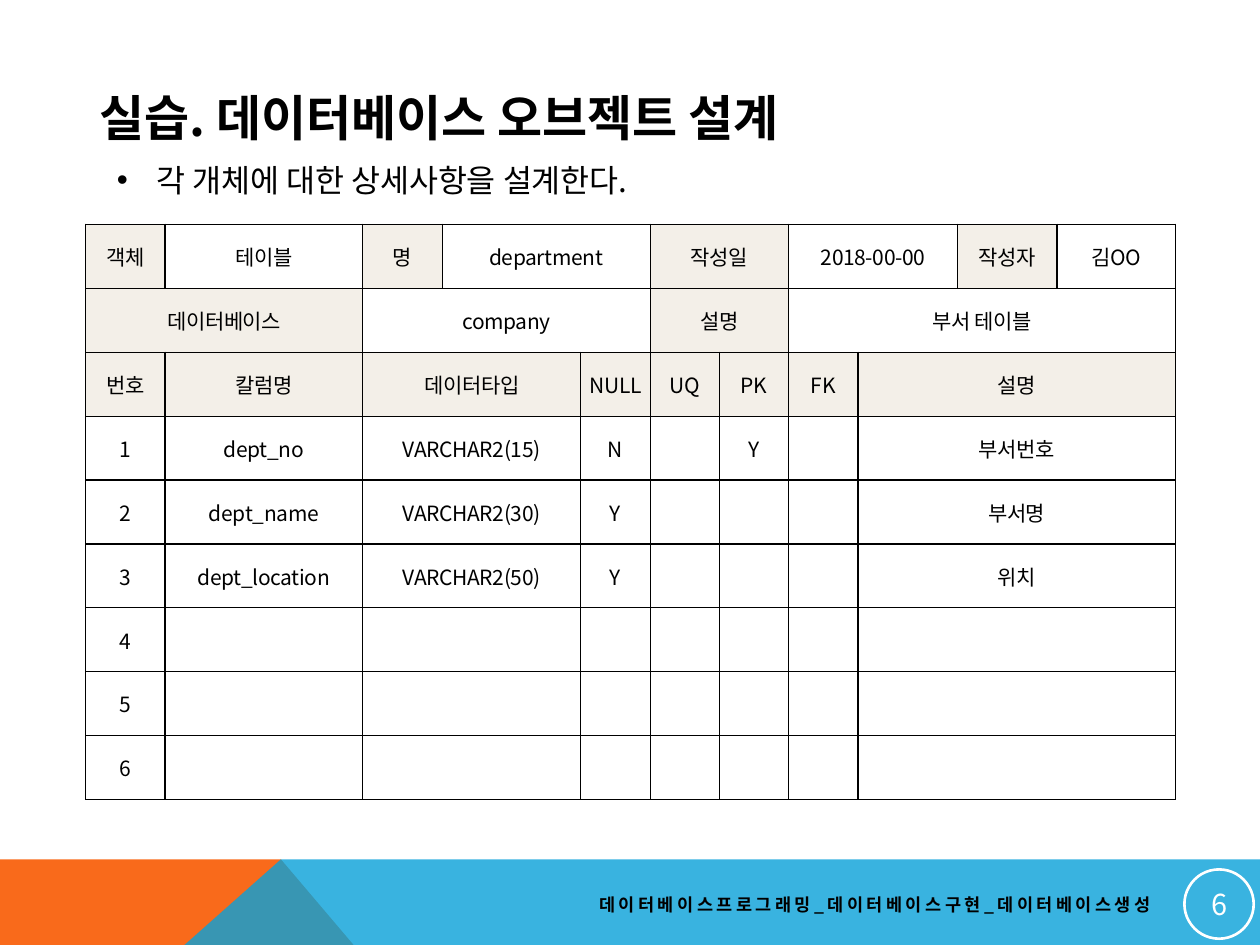
from pptx import Presentation
from pptx.util import Inches, Pt
from pptx.dml.color import RGBColor
from pptx.enum.shapes import MSO_SHAPE
from pptx.enum.text import MSO_ANCHOR, MSO_AUTO_SIZE, PP_ALIGN
from pptx.oxml.ns import qn
from lxml.etree import SubElement

THEME = {
    "font": "Noto Sans CJK KR",
    "ink": RGBColor.from_string("000000"),
    "paper": RGBColor.from_string("FFFFFF"),
    "label": RGBColor.from_string("F3EFE8"),
    "orange": RGBColor.from_string("F96A1B"),
    "blue": RGBColor.from_string("08A1D9"),
    "title": 28, "bullet": 18, "number": 16.5, "cell": 12, "footer": 10,
}


def add_run(paragraph, text, size, color="ink", bold=False, spacing=0):
    run = paragraph.add_run()
    run.text = text
    run.font.size = Pt(THEME[size])
    run.font.bold = bold
    run.font.color.rgb = THEME[color]
    run.font.name = THEME["font"]
    props = run.font._element
    SubElement(props, qn("a:ea")).set("typeface", THEME["font"])
    props.set("spc", str(spacing))


def add_text(left, top, width, height, anchor, wrap=True):
    box = slide.shapes.add_textbox(Inches(left), Inches(top), Inches(width), Inches(height))
    box.text_frame.word_wrap = wrap
    box.text_frame.vertical_anchor = anchor
    return box.text_frame


prs = Presentation()
prs.slide_width, prs.slide_height = Inches(10), Inches(7.5)
slide = prs.slides.add_slide(prs.slide_layouts[6])

# Footer bands, the blue one translucent over the orange
bands = [
    ("orange", [(0, 8.8), (0, 6.82), (2.23, 6.82), (3.91, 8.8)]),
    ("blue", [(0, 8.8), (2.23, 6.82), (10, 6.82), (10, 8.8)]),
]
for color, points in bands:
    corners = [(Inches(x), Inches(y)) for x, y in points]
    outline = slide.shapes.build_freeform(*corners[0])
    outline.add_line_segments(corners[1:], close=True)
    band = outline.convert_to_shape()
    band.shadow.inherit = False
    band.fill.solid()
    band.fill.fore_color.rgb = THEME[color]
    band.line.fill.background()
    if color == "blue":
        tint = band._element.spPr.find(qn("a:solidFill"))[0]
        SubElement(tint, qn("a:alpha")).set("val", "80000")

# Table design sheet: each cell is (text, column span, is label)
columns = [0.63, 1.57, 0.63, 1.1, 0.55, 0.55, 0.55, 0.55, 0.79, 0.79, 0.94]
field_spans = [1, 1, 2, 1, 1, 1, 1, 3]
field_names = ["번호", "칼럼명", "데이터타입", "NULL", "UQ", "PK", "FK", "설명"]
fields = [
    ["1", "dept_no", "VARCHAR2(15)", "N", "", "Y", "", "부서번호"],
    ["2", "dept_name", "VARCHAR2(30)", "Y", "", "", "", "부서명"],
    ["3", "dept_location", "VARCHAR2(50)", "Y", "", "", "", "위치"],
] + [[str(number)] + [""] * 7 for number in (4, 5, 6)]
sheet = [
    [("객체", 1, True), ("테이블", 1, False), ("명", 1, True), ("department", 2, False),
     ("작성일", 2, True), ("2018-00-00", 2, False), ("작성자", 1, True), ("김OO", 1, False)],
    [("데이터베이스", 2, True), ("company", 3, False), ("설명", 2, True), ("부서 테이블", 4, False)],
    [(name, span, True) for name, span in zip(field_names, field_spans)],
]
sheet += [[(text, span, False) for text, span in zip(field, field_spans)] for field in fields]

design = slide.shapes.add_table(len(sheet), len(columns), Inches(0.68), Inches(1.78),
                                Inches(8.65), Inches(4.57)).table
design.first_row = design.horz_banding = False
for column, width in zip(design.columns, columns):
    column.width = Inches(width)

for row, entries in enumerate(sheet):
    start = 0
    for text, span, is_label in entries:
        cell = design.cell(row, start)
        if span > 1:
            cell.merge(design.cell(row, start + span - 1))
        cell.vertical_anchor = MSO_ANCHOR.MIDDLE
        paragraph = cell.text_frame.paragraphs[0]
        paragraph.alignment = PP_ALIGN.CENTER
        paragraph.font.size = Pt(THEME["cell"])
        if text:
            add_run(paragraph, text, "cell", spacing=-20)
        for offset in range(span):
            part = design.cell(row, start + offset)
            part.margin_left = part.margin_right = Inches(0.06)
            part.margin_top = part.margin_bottom = 0
            props = part._tc.get_or_add_tcPr()
            for side in ("lnL", "lnR", "lnT", "lnB"):
                border = SubElement(props, qn("a:" + side), w=str(Pt(0.75)))
                ink = SubElement(border, qn("a:solidFill"))
                SubElement(ink, qn("a:srgbClr"), val=str(THEME["ink"]))
            part.fill.solid()
            part.fill.fore_color.rgb = THEME["label" if is_label else "paper"]
        start += span

# Page number
badge = slide.shapes.add_shape(MSO_SHAPE.OVAL, Inches(9.4), Inches(6.9), Inches(0.55), Inches(0.55))
badge.shadow.inherit = False
badge.fill.background()
badge.line.color.rgb = THEME["paper"]
badge.line.width = Pt(1.5)
number = badge.text_frame
number.margin_left = number.margin_right = number.margin_top = number.margin_bottom = Inches(0.01)
number.vertical_anchor = MSO_ANCHOR.MIDDLE
number.paragraphs[0].alignment = PP_ALIGN.CENTER
add_run(number.paragraphs[0], "6", "number", "paper")

# Bulleted instruction
instruction = add_text(0.83, 1.23, 4.72, 0.4, MSO_ANCHOR.TOP, wrap=False)
instruction.auto_size = MSO_AUTO_SIZE.SHAPE_TO_FIT_TEXT
point = instruction.paragraphs[0]
add_run(point, "각 개체에 대한 상세사항을 설계한다.", "bullet")
indent = point._p.get_or_add_pPr()
indent.set("marL", str(Inches(0.31)))
indent.set("indent", str(-Inches(0.31)))
SubElement(indent, qn("a:buFont")).set("typeface", "Arial")
SubElement(indent, qn("a:buChar")).set("char", "•")

# Footer and title
footer = add_text(4.06, 7.03, 5.17, 0.3, MSO_ANCHOR.MIDDLE).paragraphs[0]
footer.alignment = PP_ALIGN.RIGHT
add_run(footer, "데이터베이스프로그래밍_데이터베이스구현_데이터베이스생성", "footer", bold=True, spacing=200)
title = add_text(0.69, 0.63, 8.22, 0.6, MSO_ANCHOR.MIDDLE).paragraphs[0]
add_run(title, "실습. 데이터베이스 오브젝트 설계", "title", bold=True)

prs.save("out.pptx")
